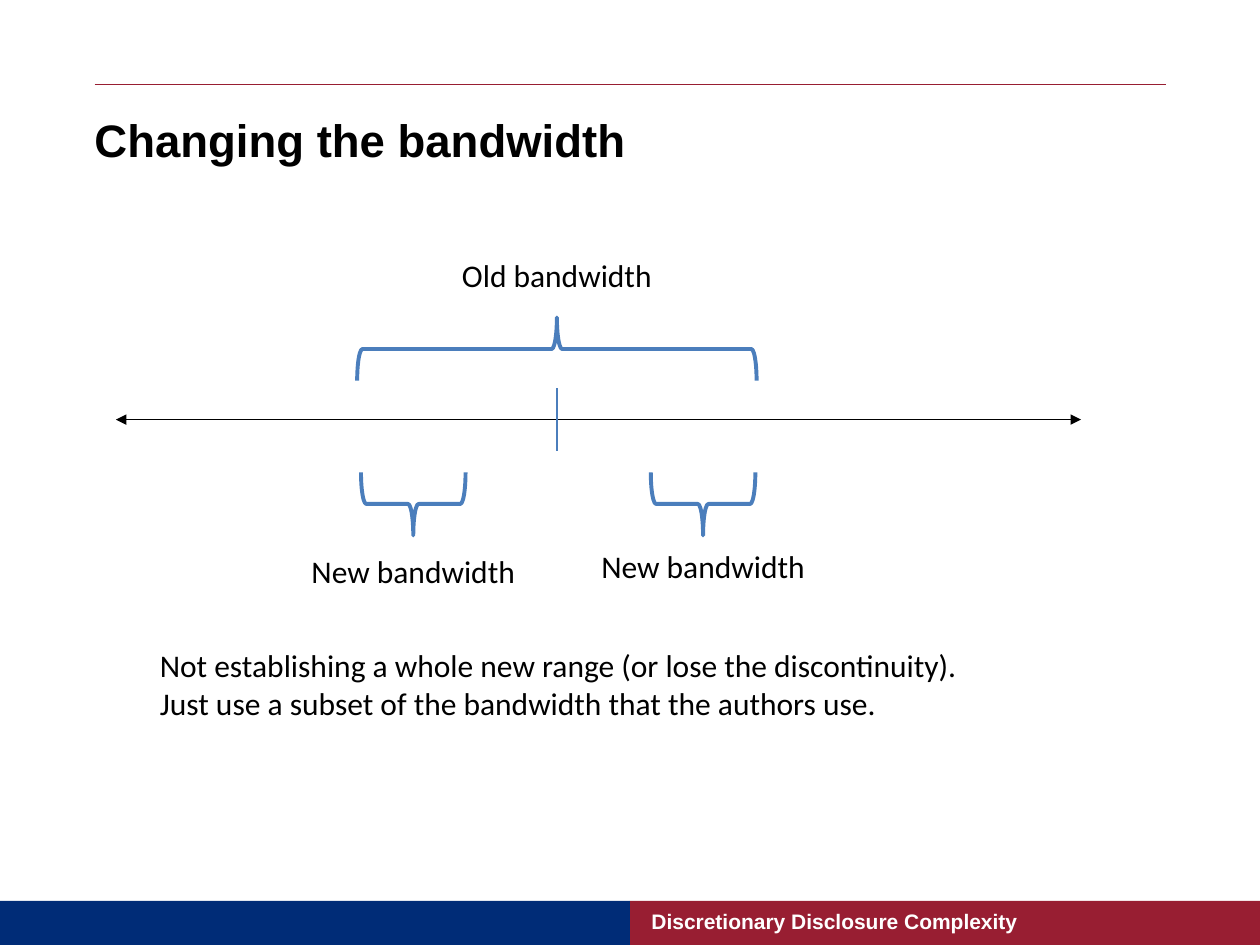
from pptx import Presentation
from pptx import util as u
from pptx.dml.color import RGBColor
from pptx.enum import shapes, text
from pptx.oxml.ns import qn
from lxml import etree

COLORS = {"red": "981E32", "navy": "002C77", "blue": "4B7EBC",
          "black": "000000", "white": "FFFFFF"}


def color(name):
    return RGBColor.from_string(COLORS[name])


def add_line(page, start, end, tone, width, arrows=False):
    line = page.shapes.add_connector(
        shapes.MSO_CONNECTOR.STRAIGHT,
        *(u.Inches(value) for value in (*start, *end)))
    line.line.color.rgb = color(tone)
    line.line.width = u.Pt(width)
    if arrows:
        outline = line.line._get_or_add_ln()
        for tag in ("a:headEnd", "a:tailEnd"):
            etree.SubElement(outline, qn(tag), type="triangle")
    etree.SubElement(line._element.spPr, qn("a:effectLst"))


def add_label(page, box, words, size=18, font="Calibri", tone="black",
              bold=False, align=text.PP_ALIGN.LEFT, margins=True,
              anchor=text.MSO_ANCHOR.TOP, spacing=None):
    label = page.shapes.add_textbox(*(u.Inches(value) for value in box))
    frame = label.text_frame
    frame.word_wrap = True
    frame.vertical_anchor = anchor
    if not margins:
        frame.margin_left = frame.margin_right = 0
        frame.margin_top = frame.margin_bottom = 0
    para = frame.paragraphs[0]
    para.alignment = align
    if spacing:
        para.line_spacing = spacing
    span = para.add_run()
    span.text = words
    span.font.name = font
    span.font.size = u.Pt(size)
    span.font.bold = bold
    span.font.color.rgb = color(tone)


def add_brace(page, center, width, rotation, depth=0.5):
    """Draw a horizontal brace: 270 points up, 90 points down."""
    x, y = center
    brace = page.shapes.add_shape(
        shapes.MSO_SHAPE.RIGHT_BRACE,
        u.Inches(x - depth / 2), u.Inches(y - width / 2),
        u.Inches(depth), u.Inches(width))
    brace.rotation = rotation
    brace.shadow.inherit = False
    brace.fill.background()
    brace.line.color.rgb = color("blue")
    brace.line.width = u.Pt(2.25)


def add_header(page, left, top, width):
    add_line(page, (left, top), (left + width, top), "red", 0.5)
    add_label(page, (left, top + 0.16, width, 0.83), "Changing the bandwidth",
              size=26, font="Arial", bold=True, margins=False, spacing=1.14)


def add_footer(page, left, top, width, height):
    half = width / 2
    for x, tone in ((left + half, "red"), (left, "navy")):
        band = page.shapes.add_shape(
            shapes.MSO_SHAPE.RECTANGLE, u.Inches(x), u.Inches(top),
            u.Inches(half), u.Inches(height))
        band.shadow.inherit = False
        band.fill.solid()
        band.fill.fore_color.rgb = color(tone)
        band.line.fill.background()
    add_label(page, (left + half + 0.17, top, 3.75, 0.32),
              "Discretionary Disclosure Complexity", size=12, font="Arial",
              tone="white", bold=True, margins=False,
              anchor=text.MSO_ANCHOR.MIDDLE)


def add_diagram(page, left, top, width):
    # Axis with the cutoff tick
    axis = top + 1.35
    cutoff = left + 3.5
    add_line(page, (left, axis), (left + width, axis), "black", 0.75, True)
    add_line(page, (cutoff, axis - 0.25), (cutoff, axis + 0.25), "blue", 0.75)

    # Braces, each with its centred label
    braces = (
        ("Old bandwidth", cutoff, axis - 0.56, 3.17, 270, top),
        ("New bandwidth", cutoff - 1.14, axis + 0.67, 0.83, 90, top + 2.35),
        ("New bandwidth", cutoff + 1.16, axis + 0.67, 0.83, 90, top + 2.31),
    )
    for words, x, y, span_width, rotation, label_top in braces:
        add_brace(page, (x, y), span_width, rotation)
        add_label(page, (x - 0.96, label_top, 1.92, 0.4), words,
                  align=text.PP_ALIGN.CENTER)


def main():
    deck = Presentation()
    deck.slide_width = u.Inches(10)
    deck.slide_height = u.Inches(7.5)
    page = deck.slides.add_slide(deck.slide_layouts[6])

    add_footer(page, 0, 7.15, 10, 0.35)
    add_header(page, 0.75, 0.67, 8.5)
    add_diagram(page, 0.92, 1.98, 7.66)

    # Explanation
    add_label(page, (1.17, 5.08, 6.75, 0.71),
              "Not establishing a whole new range (or lose the discontinuity). "
              "Just use a subset of the bandwidth that the authors use.")

    deck.save("out.pptx")


if __name__ == "__main__":
    main()
